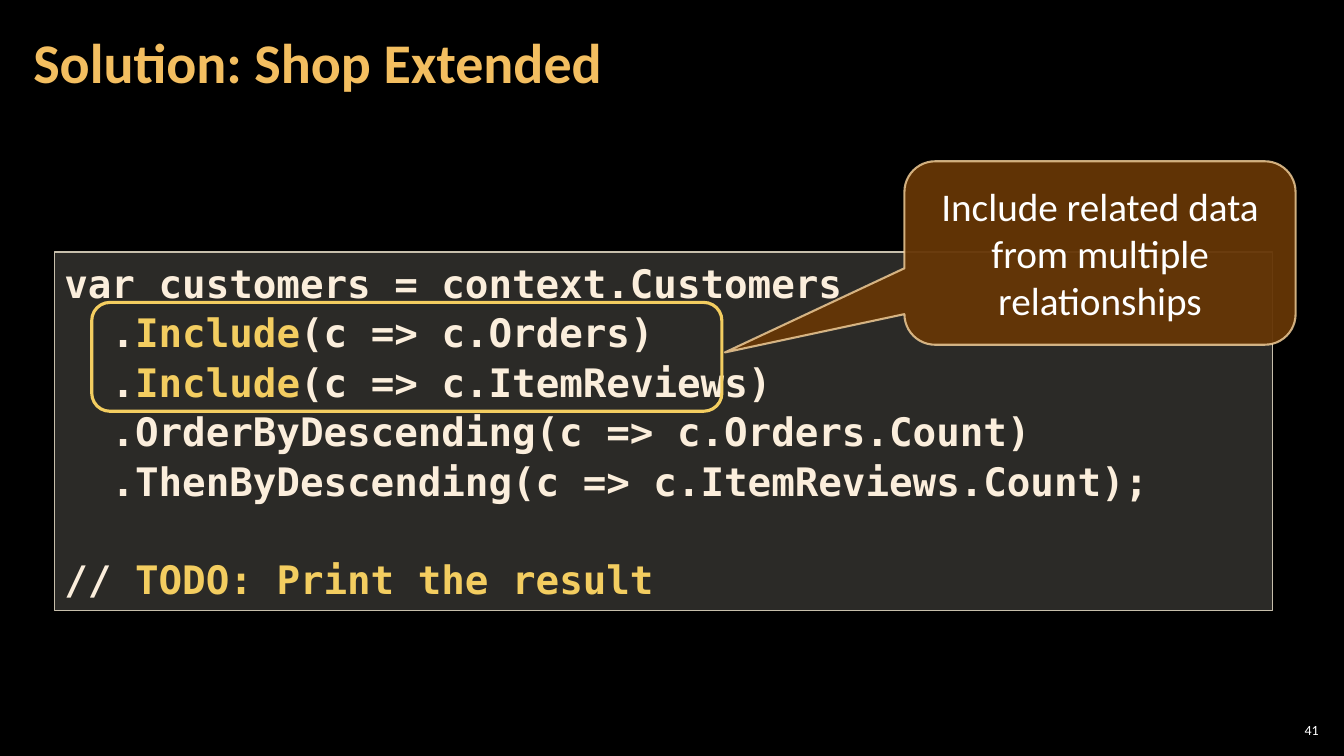
from dataclasses import dataclass
from typing import Optional

from lxml.etree import SubElement
from pptx import Presentation
from pptx.dml.color import RGBColor
from pptx.enum.shapes import MSO_SHAPE
from pptx.enum.text import MSO_ANCHOR, MSO_AUTO_SIZE, PP_ALIGN
from pptx.oxml.ns import qn
from pptx.util import Inches, Pt

COLORS = {
    "background": "000000",
    "title": "F3BE60",
    "white": "FFFFFF",
    "code": "FBEEDC",
    "highlight": "F3CD60",
    "panel": "D9D5C7",
    "panel_line": "C7BFAC",
    "callout": "663606",
    "callout_line": "F8D49E",
}
TEXT_FONT = "Calibri"
CODE_FONT = "DejaVu Sans Mono"
CODE_SIZE = 28


@dataclass(frozen=True)
class Panel:
    kind: MSO_SHAPE
    place: tuple[float, float, float, float]
    line: str
    line_width: float
    fill: Optional[str] = None
    fill_opacity: int = 100
    line_opacity: int = 100
    adjustments: tuple[float, ...] = ()


@dataclass(frozen=True)
class CodeLine:
    plain: str
    marked: str = ""
    rest: str = ""
    space_before: float = 0


CODE_PANEL = Panel(MSO_SHAPE.RECTANGLE, (0.54, 2.5, 12.08, 3.56),
                   "panel_line", 1, "panel", 20)
CALLOUT = Panel(MSO_SHAPE.ROUNDED_RECTANGULAR_CALLOUT, (8.97, 1.6, 3.88, 1.82),
                "callout_line", 1.5, "callout", 95, 80, (-0.959, 0.542, 0.167))
INCLUDE_FRAME = Panel(MSO_SHAPE.ROUNDED_RECTANGLE, (0.91, 3, 6.25, 1.08),
                      "highlight", 2.25)

CODE_LINES = (
    CodeLine("var customers = context.Customers"),
    CodeLine("  .", "Include", "(c => c.Orders)"),
    CodeLine("  .", "Include", "(c => c.ItemReviews)"),
    CodeLine("  .OrderByDescending(c => c.Orders.Count)"),
    CodeLine("  .ThenByDescending(c => c.ItemReviews.Count);"),
    CodeLine("// ", "TODO: Print the result", space_before=35),
)


def rgb(name: str) -> RGBColor:
    """Return the named colour."""
    return RGBColor.from_string(COLORS[name])


def paint(fill_format, color: str, opacity: int) -> None:
    """Fill solidly with a colour at a percentage of opacity."""
    fill_format.solid()
    fill_format.fore_color.rgb = rgb(color)
    if opacity < 100:
        element = fill_format._xPr.find(qn("a:solidFill"))[0]
        SubElement(element, qn("a:alpha"), val=str(opacity * 1000))


def add_panel(slide, panel: Panel):
    """Draw one panel and return its shape."""
    shape = slide.shapes.add_shape(panel.kind, *map(Inches, panel.place))
    shape.shadow.inherit = False
    for index, value in enumerate(panel.adjustments):
        shape.adjustments[index] = value
    if panel.fill:
        paint(shape.fill, panel.fill, panel.fill_opacity)
    else:
        shape.fill.background()
    shape.line.width = Pt(panel.line_width)
    paint(shape.line.fill, panel.line, panel.line_opacity)
    return shape


def add_text(para, text: str, *, size: float, color: str,
             font: str = TEXT_FONT, bold: bool = False) -> None:
    """Append formatted text to a paragraph."""
    span = para.add_run()
    span.text = text
    span.font.name = font
    span.font.size = Pt(size)
    span.font.bold = bold
    span.font.color.rgb = rgb(color)


def set_frame(shape, *, anchor: MSO_ANCHOR, align: PP_ALIGN,
              side: float = 0.1, edge: float = 0.05):
    """Set up a text frame and return its first paragraph."""
    frame = shape.text_frame
    frame.word_wrap = True
    frame.auto_size = MSO_AUTO_SIZE.NONE
    frame.vertical_anchor = anchor
    frame.margin_left = frame.margin_right = Inches(side)
    frame.margin_top = frame.margin_bottom = Inches(edge)
    para = frame.paragraphs[0]
    para.alignment = align
    return para


def add_code(slide) -> None:
    """Draw the code panel with its highlighted words."""
    shape = add_panel(slide, CODE_PANEL)
    para = set_frame(shape, anchor=MSO_ANCHOR.TOP, align=PP_ALIGN.LEFT)
    for index, line in enumerate(CODE_LINES):
        if index:
            para = shape.text_frame.add_paragraph()
            para.alignment = PP_ALIGN.LEFT
        para.line_spacing = 1.05
        if line.space_before:
            para.space_before = Pt(line.space_before)
        parts = ((line.plain, "code"), (line.marked, "highlight"), (line.rest, "code"))
        for text, color in parts:
            if text:
                add_text(para, text, size=CODE_SIZE, color=color,
                         font=CODE_FONT, bold=True)


def add_title(slide) -> None:
    """Place and fill the title."""
    title = slide.shapes.title
    title.left, title.top, title.width, title.height = map(
        Inches, (0.21, 0.04, 10.47, 1.21))
    para = set_frame(title, anchor=MSO_ANCHOR.MIDDLE, align=PP_ALIGN.LEFT,
                     side=0.12, edge=0.04)
    para.line_spacing = 0.9
    add_text(para, "Solution: Shop Extended", size=40, color="title", bold=True)


def add_page_number(slide) -> None:
    """Write the page number in the lower right corner."""
    box = slide.shapes.add_textbox(*map(Inches, (12.65, 7.14, 0.47, 0.21)))
    para = set_frame(box, anchor=MSO_ANCHOR.MIDDLE, align=PP_ALIGN.RIGHT,
                     side=0.04, edge=0.04)
    add_text(para, "41", size=10, color="white")


def add_callout(slide) -> None:
    """Draw the callout that explains the framed lines."""
    shape = add_panel(slide, CALLOUT)
    para = set_frame(shape, anchor=MSO_ANCHOR.MIDDLE, align=PP_ALIGN.CENTER)
    add_text(para, "Include related data from multiple relationships",
             size=28, color="white")


def main() -> None:
    """Build and save the deck."""
    deck = Presentation()
    deck.slide_width, deck.slide_height = Inches(13.33), Inches(7.5)
    page = deck.slides.add_slide(deck.slide_layouts[5])
    paint(page.background.fill, "background", 100)
    add_page_number(page)
    add_title(page)
    add_code(page)
    add_callout(page)
    add_panel(page, INCLUDE_FRAME)
    deck.save("out.pptx")


if __name__ == "__main__":
    main()
